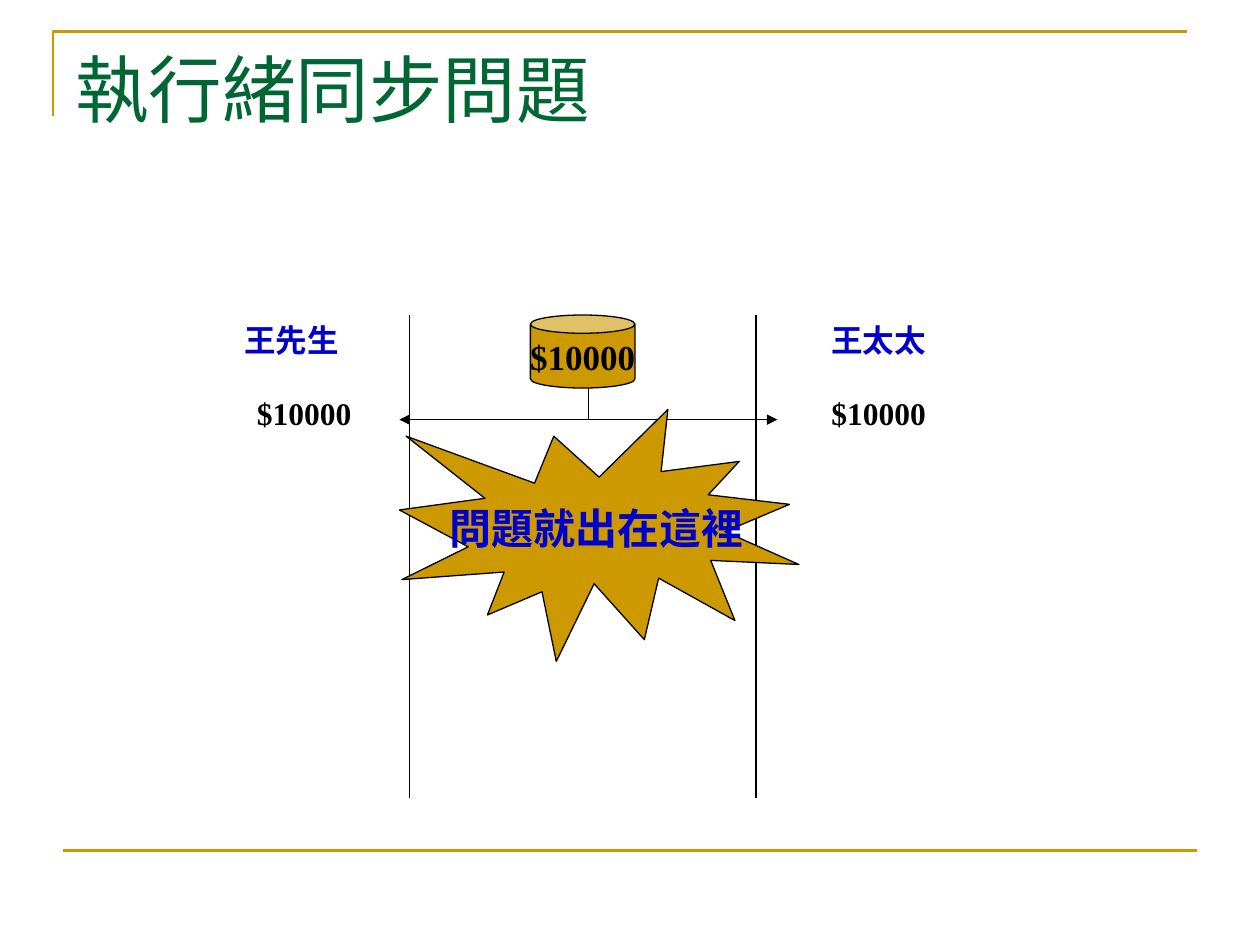
from lxml import etree
from pptx import Presentation
from pptx import util as u
from pptx.dml.color import RGBColor
from pptx.enum import shapes, text
from pptx.oxml.ns import qn

GOLD, GREEN, BLUE, BLACK = "CC9900", "006633", "0000CC", "000000"
FONT = "Times New Roman"


def color(value):
    return RGBColor.from_string(value)


def set_line(shape, line_color, width):
    shape.line.color.rgb = color(line_color)
    shape.line.width = u.Pt(width)


def write_text(shape, words, size, font_color, bold=True, wrap=False,
               anchor=text.MSO_ANCHOR.TOP, align=text.PP_ALIGN.LEFT):
    frame = shape.text_frame
    frame.word_wrap = wrap
    frame.vertical_anchor = anchor
    paragraph = frame.paragraphs[0]
    paragraph.text = words
    paragraph.alignment = align
    formats = {"name": FONT, "size": u.Pt(size), "bold": bold}
    for name, value in formats.items():
        setattr(paragraph.font, name, value)
    paragraph.font.color.rgb = color(font_color)


def add_label(slide, box, words, size, font_color, **options):
    label = slide.shapes.add_textbox(*map(u.Inches, box))
    write_text(label, words, size, font_color, **options)


def add_gold_shape(slide, kind, box, words, size, font_color):
    shape = slide.shapes.add_shape(kind, *map(u.Inches, box))
    shape.shadow.inherit = False
    shape.fill.solid()
    shape.fill.fore_color.rgb = color(GOLD)
    set_line(shape, BLACK, 0.75)
    write_text(shape, words, size, font_color,
               anchor=text.MSO_ANCHOR.MIDDLE, align=text.PP_ALIGN.CENTER)


def add_straight_line(slide, start, end, line_color, width):
    line = slide.shapes.add_connector(
        shapes.MSO_CONNECTOR.STRAIGHT, *map(u.Inches, start + end))
    set_line(line, line_color, width)
    etree.SubElement(line._element.spPr, qn("a:effectLst"))


def add_bent_line(slide, points, line_color, width, arrow=False):
    start, *others = [tuple(map(u.Inches, point)) for point in points]
    builder = slide.shapes.build_freeform(*start)
    builder.add_line_segments(others, close=False)
    shape = builder.convert_to_shape()
    shape.shadow.inherit = False
    shape.fill.background()
    set_line(shape, line_color, width)
    if arrow:
        etree.SubElement(shape.line._get_or_add_ln(), qn("a:tailEnd"),
                         type="triangle")


def main():
    presentation = Presentation()
    presentation.slide_width = u.Inches(10)
    presentation.slide_height = u.Inches(7.5)
    slide = presentation.slides.add_slide(presentation.slide_layouts[6])

    # Frame and title
    add_bent_line(slide, [(0.42, 0.92), (0.42, 0.25), (9.42, 0.25)], GOLD, 1.5)
    add_straight_line(slide, (0.5, 6.75), (9.5, 6.75), GOLD, 1.5)
    add_label(slide, (0.5, 0.3, 9, 1.25), "執行緒同步問題", 42, GREEN,
              bold=False, wrap=True)

    # Shared account
    add_gold_shape(slide, shapes.MSO_SHAPE.CAN, (4.21, 2.5, 0.83, 0.58),
                   "$10000", 20, BLACK)

    # Timelines and their owners
    for x in (3.25, 6):
        add_straight_line(slide, (x, 2.5), (x, 6.33), BLACK, 0.75)
    for x, owner in ((1.84, "王先生"), (6.5, "王太太")):
        add_label(slide, (x, 2.5, 0.95, 0.4), owner, 18, BLUE)

    # Balance read by both owners
    for label_x, arrow_x in ((1.94, 3.17), (6.5, 6.17)):
        add_bent_line(slide, [(4.67, 3.08), (4.67, 3.33), (arrow_x, 3.33)],
                      BLACK, 0.75, arrow=True)
        add_label(slide, (label_x, 3.08, 0.95, 0.4), "$10000", 18, BLACK)

    # Problem burst
    add_gold_shape(slide, shapes.MSO_SHAPE.EXPLOSION1, (3.17, 3.25, 3.17, 2),
                   "問題就出在這裡", 24, BLUE)

    presentation.save("out.pptx")


if __name__ == "__main__":
    main()
